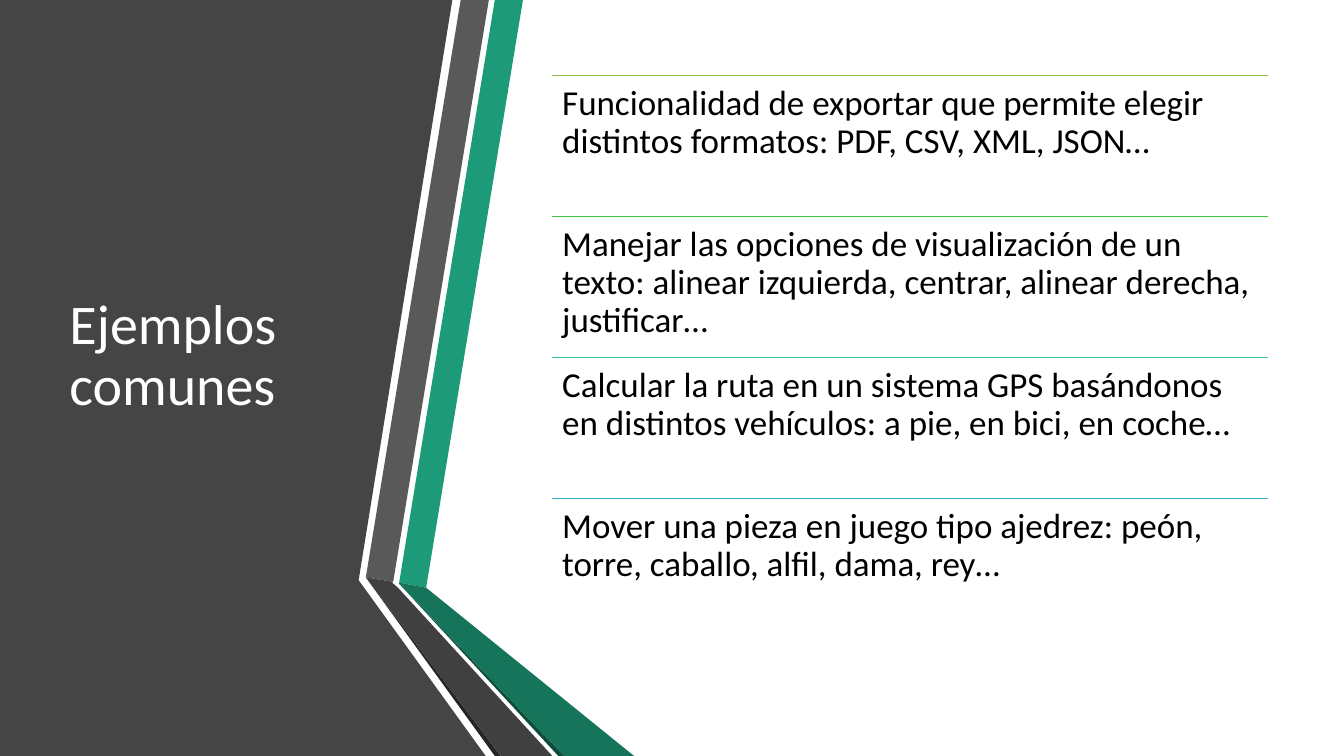
"""Build the slide of common examples beside a folded ribbon panel."""
from dataclasses import dataclass
from typing import Any

from lxml.etree import SubElement
from pptx import Presentation
from pptx.dml.color import RGBColor as Rgb
from pptx.enum.shapes import MSO_CONNECTOR as Connector
from pptx.enum.text import MSO_ANCHOR as Anchor
from pptx.oxml.ns import qn
from pptx.shapes.shapetree import SlideShapes
from pptx.util import Cm, Pt

COLORS = {
    "panel": "454545",
    "green": "1D9A78",
    "gray": "595959",
    "gray_edge": "262626",
    "green_edge": "0E4D3C",
    "green_fold": "16745A",
    "gray_fold": "404040",
    "title": "FFFFFF",
    "body": "000000",
    "lime": "8BC145",
    "leaf": "40C543",
    "mint": "3BCA93",
    "sky": "36AFCE",
}
FONT = "Calibri"
WIDTH, BOTTOM = 33.87, 19.05
ROW_LEFT, ROW_TOP, ROW_WIDTH, ROW_PITCH = 13.92, 1.91, 18.03, 3.55
TITLE_FRAME = {"word_wrap": True, "vertical_anchor": Anchor.MIDDLE}
EXAMPLE_FRAME = {
    "word_wrap": True,
    "vertical_anchor": Anchor.TOP,
    "margin_left": Cm(0.25),
    "margin_right": Cm(0.25),
    "margin_top": Cm(0.25),
    "margin_bottom": Cm(0.25),
}


@dataclass(frozen=True)
class Band:
    """A flat coloured outline, with its corners in centimetres."""

    color: str
    corners: tuple[tuple[float, float], ...]


@dataclass(frozen=True)
class Example:
    """One example and the colour of the rule above it."""

    rule_color: str
    wording: str


@dataclass(frozen=True)
class Area:
    """A rectangle in centimetres."""

    left: float
    top: float
    width: float
    height: float


BANDS = (
    Band("panel", ((0, 0), (11.4, 0), (9.04, 14.62), (12.24, BOTTOM), (0, BOTTOM))),
    Band("green", ((10.06, 14.68), (10.74, 14.81), (13.18, 0), (12.47, 0))),
    Band("gray", ((12.32, 0), (11.61, 0), (9.22, 14.55), (9.91, 14.66))),
    Band("gray_edge", ((9.22, 14.55), (12.47, BOTTOM), (12.62, BOTTOM))),
    Band("green_edge", ((10.06, 14.71), (14.07, BOTTOM), (14.22, BOTTOM))),
    Band("green_fold", ((10.06, 14.68), (10.06, 14.71), (14.22, BOTTOM),
                        (15.98, BOTTOM), (10.74, 14.81))),
    Band("gray_fold", ((13.92, BOTTOM), (10.03, 14.81), (9.88, 14.68),
                       (9.91, 14.66), (9.22, 14.55), (12.62, BOTTOM))),
)
EXAMPLES = (
    Example("lime", "Funcionalidad de exportar que permite elegir distintos "
                    "formatos: PDF, CSV, XML, JSON…"),
    Example("leaf", "Manejar las opciones de visualización de un texto: alinear "
                    "izquierda, centrar, alinear derecha, justificar…"),
    Example("mint", "Calcular la ruta en un sistema GPS basándonos en distintos "
                    "vehículos: a pie, en bici, en coche…"),
    Example("sky", "Mover una pieza en juego tipo ajedrez: peón, torre, caballo, "
                   "alfil, dama, rey…"),
)


def rgb(name: str) -> Rgb:
    """Look up a named colour."""
    return Rgb.from_string(COLORS[name])


def apply_format(target: Any, values: dict[str, Any]) -> None:
    """Set each format value on the target."""
    for attribute, value in values.items():
        setattr(target, attribute, value)


def draw_band(shapes: SlideShapes, band: Band) -> None:
    """Draw a filled outline without a border."""
    start, *rest = [(Cm(x), Cm(y)) for x, y in band.corners]
    builder = shapes.build_freeform(*start)
    builder.add_line_segments(rest, close=True)
    ribbon = builder.convert_to_shape()
    ribbon.shadow.inherit = False
    ribbon.fill.solid()
    ribbon.fill.fore_color.rgb = rgb(band.color)
    ribbon.line.fill.background()


def draw_wording(shapes: SlideShapes, wording: str, area: Area, size: float,
                 color: str, frame_format: dict[str, Any]) -> None:
    """Draw one paragraph in a wrapping text box."""
    frame = shapes.add_textbox(Cm(area.left), Cm(area.top),
                               Cm(area.width), Cm(area.height)).text_frame
    apply_format(frame, frame_format)
    paragraph = frame.paragraphs[0]
    paragraph.line_spacing = 0.9
    passage = paragraph.add_run()
    passage.text = wording
    apply_format(passage.font, {"name": FONT, "size": Pt(size)})
    passage.font.color.rgb = rgb(color)


def draw_example(shapes: SlideShapes, example: Example, top: float) -> None:
    """Draw an example below its coloured rule."""
    rule = shapes.add_connector(Connector.STRAIGHT, Cm(ROW_LEFT), Cm(top),
                                Cm(ROW_LEFT + ROW_WIDTH), Cm(top))
    rule.line.color.rgb = rgb(example.rule_color)
    rule.line.width = Pt(1)
    SubElement(rule._element.spPr, qn("a:effectLst"))
    draw_wording(shapes, example.wording,
                 Area(ROW_LEFT, top, ROW_WIDTH, ROW_PITCH),
                 25, "body", EXAMPLE_FRAME)


def main() -> None:
    """Build and save the presentation."""
    deck = Presentation()
    apply_format(deck, {"slide_width": Cm(WIDTH), "slide_height": Cm(BOTTOM)})
    shapes = deck.slides.add_slide(deck.slide_layouts[6]).shapes
    for band in BANDS:
        draw_band(shapes, band)
    draw_wording(shapes, "Ejemplos comunes", Area(1.5, 1.91, 7.72, 14.17),
                 40, "title", TITLE_FRAME)
    for row, example in enumerate(EXAMPLES):
        draw_example(shapes, example, ROW_TOP + row * ROW_PITCH)
    deck.save("out.pptx")


if __name__ == "__main__":
    main()
